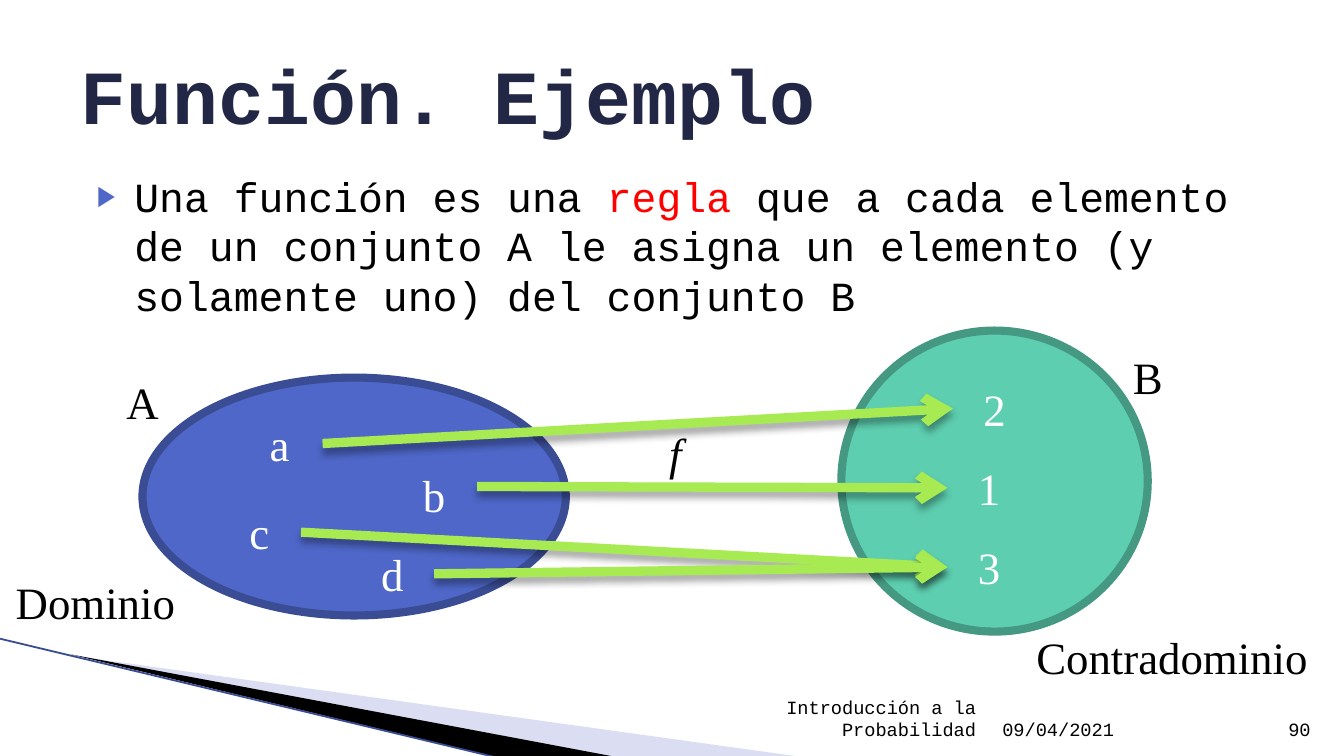
from lxml import etree
from pptx import Presentation
from pptx.dml.color import RGBColor
from pptx.enum import shapes, text
from pptx.oxml import parse_xml
from pptx.oxml.ns import nsdecls, qn
from pptx.util import Inches, Pt

BLUE, BLUE_EDGE = RGBColor(0x4E, 0x67, 0xC8), RGBColor(0x3A, 0x4C, 0x94)
TEAL, TEAL_EDGE = RGBColor(0x5D, 0xCE, 0xAF), RGBColor(0x45, 0x98, 0x81)
LIME, LAVENDER = RGBColor(0xA7, 0xEA, 0x52), RGBColor(0xA6, 0xAE, 0xE1)
NAVY, RED = RGBColor(0x21, 0x27, 0x45), RGBColor(0xFF, 0, 0)
BLACK, WHITE = RGBColor(0, 0, 0), RGBColor(0xFF, 0xFF, 0xFF)
MONO, SERIF = "Courier New", "Times New Roman"
LEFT, CENTER, RIGHT = (text.PP_ALIGN.LEFT, text.PP_ALIGN.CENTER,
                       text.PP_ALIGN.RIGHT)


def place(sp, box):
    sp.left, sp.top, sp.width, sp.height = (Inches(v) for v in box)


def style(run, font, size, color, bold=False, italic=False):
    f = run.font
    f.name, f.size, f.bold, f.italic = font, Pt(size), bold, italic
    f.color.rgb = color


def add_text(s, box, words, font, size, color, align=CENTER,
             anchor=text.MSO_ANCHOR.TOP, italic=False):
    tf = s.shapes.add_textbox(*(Inches(v) for v in box)).text_frame
    tf.word_wrap = True
    tf.vertical_anchor = anchor
    p = tf.paragraphs[0]
    p.text, p.alignment = words, align
    style(p.runs[0], font, size, color, italic=italic)


def add_line(s, start, end, color, width):
    line = s.shapes.add_connector(shapes.MSO_CONNECTOR.STRAIGHT,
                                  *(Inches(v) for v in (*start, *end)))
    line.line.color.rgb, line.line.width = color, Pt(width)
    effects = etree.SubElement(line._element.spPr, qn("a:effectLst"))
    return line, effects


def add_corner(s, x, y):
    """Swoosh whose tip is at x, y."""
    wedges = [(LAVENDER, 40, [(0, 0), (5.4, 0.75), (4.01, 0.75)]),
              (BLACK, 100, [(-0.02, -0.01), (4.02, 0.75), (3.17, 0.76)])]
    for color, alpha, points in wedges:
        points = [(Inches(x + dx), Inches(y + dy)) for dx, dy in points]
        fb = s.shapes.build_freeform(*points[0], scale=1.0)
        fb.add_line_segments(points[1:], close=True)
        sp = fb.convert_to_shape()
        sp.shadow.inherit = False
        sp.fill.solid()
        sp.fill.fore_color.rgb = color
        sp.line.fill.background()
        clr = sp._element.spPr.find(qn("a:solidFill"))[0]
        etree.SubElement(clr, qn("a:alpha"), val=str(alpha * 1000))
    add_line(s, (x - 0.56, y - 0.13), (x + 3.16, y + 0.76), BLUE_EDGE, 0.95)


def add_title(s, box):
    sp = s.shapes.title
    place(sp, box)
    tf = sp.text_frame
    tf.text = "Función. Ejemplo"
    tf.auto_size = text.MSO_AUTO_SIZE.NONE
    tf.vertical_anchor = text.MSO_ANCHOR.MIDDLE
    p = tf.paragraphs[0]
    p.alignment = LEFT
    style(p.runs[0], MONO, 41, NAVY, bold=True)


def add_definition(s, box):
    sp = s.placeholders[1]
    place(sp, box)
    tf = sp.text_frame
    tf.auto_size = text.MSO_AUTO_SIZE.NONE
    p = tf.paragraphs[0]
    p.space_before = Pt(0)
    pPr = p._p.get_or_add_pPr()
    pPr.set("marL", str(Inches(0.4)))
    pPr.set("indent", str(Inches(-0.28)))
    color = etree.SubElement(pPr, qn("a:buClr"))
    etree.SubElement(color, qn("a:srgbClr"), val=str(BLUE))
    etree.SubElement(pPr, qn("a:buSzPct"), val="68000")
    etree.SubElement(pPr, qn("a:buChar"), char="▶")
    for words, ink in [("Una función es una ", BLACK), ("regla ", RED),
                       ("que a cada elemento de un conjunto A le asigna un "
                        "elemento (y solamente uno) del conjunto B", BLACK)]:
        r = p.add_run()
        r.text = words
        style(r, MONO, 22.2, ink)


def add_set(s, box, fill, edge, labels):
    """Ellipse with labels centred at offsets from its box."""
    x, y = box[:2]
    sp = s.shapes.add_shape(shapes.MSO_SHAPE.OVAL, *(Inches(v) for v in box))
    sp.shadow.inherit = False
    sp.fill.solid()
    sp.fill.fore_color.rgb = fill
    sp.line.color.rgb, sp.line.width = edge, Pt(4.33)
    for words, dx, dy, width, color in labels:
        add_text(s, (x + dx - width / 2, y + dy - 0.25, width, 0.5),
                 words, SERIF, 24, color)


def add_arrow(s, start, end):
    line, effects = add_line(s, start, end, LIME, 5)
    etree.SubElement(line.line._get_or_add_ln(), qn("a:tailEnd"), type="arrow")
    effects.append(parse_xml(
        f'<a:outerShdw {nsdecls("a")} blurRad="{Pt(4)}" dist="{Pt(3)}" '
        'dir="5400000" rotWithShape="0"><a:srgbClr val="000000">'
        '<a:alpha val="35000"/></a:srgbClr></a:outerShdw>'))


def add_mapping(s, x, y):
    """Both sets, the arrows between them and the function's name."""
    add_set(s, (x, y + 0.35, 3.15, 1.77), BLUE, BLUE_EDGE, [
        ("a", 1.02, 0.49, 0.63, WHITE), ("b", 2.17, 0.87, 0.63, WHITE),
        ("c", 0.87, 1.15, 0.63, WHITE), ("d", 1.86, 1.46, 0.63, WHITE),
        ("A", 0, 0.18, 0.63, BLACK), ("Dominio", -0.35, 1.67, 1.5, BLACK)])
    add_set(s, (x + 5.2, y, 2.28, 2.24), TEAL, TEAL_EDGE, [
        ("2", 1.14, 0.58, 0.63, WHITE), ("1", 1.1, 1.17, 0.63, WHITE),
        ("3", 1.1, 1.76, 0.63, WHITE), ("B", 2.28, 0.34, 0.63, BLACK),
        ("Contradominio", 2.46, 2.43, 2.32, BLACK)])
    two, one, three = (6.03, 0.58), (5.99, 1.17), (5.99, 1.76)
    for start, end in [((1.34, 0.84), two), ((2.49, 1.16), one),
                       ((1.18, 1.5), three), ((2.17, 1.81), three)]:
        add_arrow(s, (x + start[0], y + start[1]), (x + end[0], y + end[1]))
    add_text(s, (x + 3.54, y + 0.66, 0.85, 0.5), "f", SERIF, 24, BLACK,
             italic=True)


def add_footer(s, y, height):
    for words, x, width, align in [
            ("09/04/2021", 7.36, 2.1, LEFT),
            ("Introducción a la Probabilidad", 4.79, 2.57, RIGHT),
            ("90", 9.25, 0.6, RIGHT)]:
        add_text(s, (x, y, width, height), words, MONO, 10, BLACK, align,
                 text.MSO_ANCHOR.BOTTOM)


def main():
    prs = Presentation()
    # Widescreen, 16:9
    prs.slide_width = Inches(10)
    prs.slide_height = prs.slide_width * 9 // 16
    s = prs.slides.add_slide(prs.slide_layouts[1])
    add_corner(s, 0.55, 4.88)
    add_title(s, (0.5, 0.23, 9, 0.94))
    add_definition(s, (0.5, 1.22, 9, 1.13))
    add_mapping(s, 1.06, 2.46)
    add_footer(s, 5.26, 0.3)
    prs.save("out.pptx")


if __name__ == "__main__":
    main()
